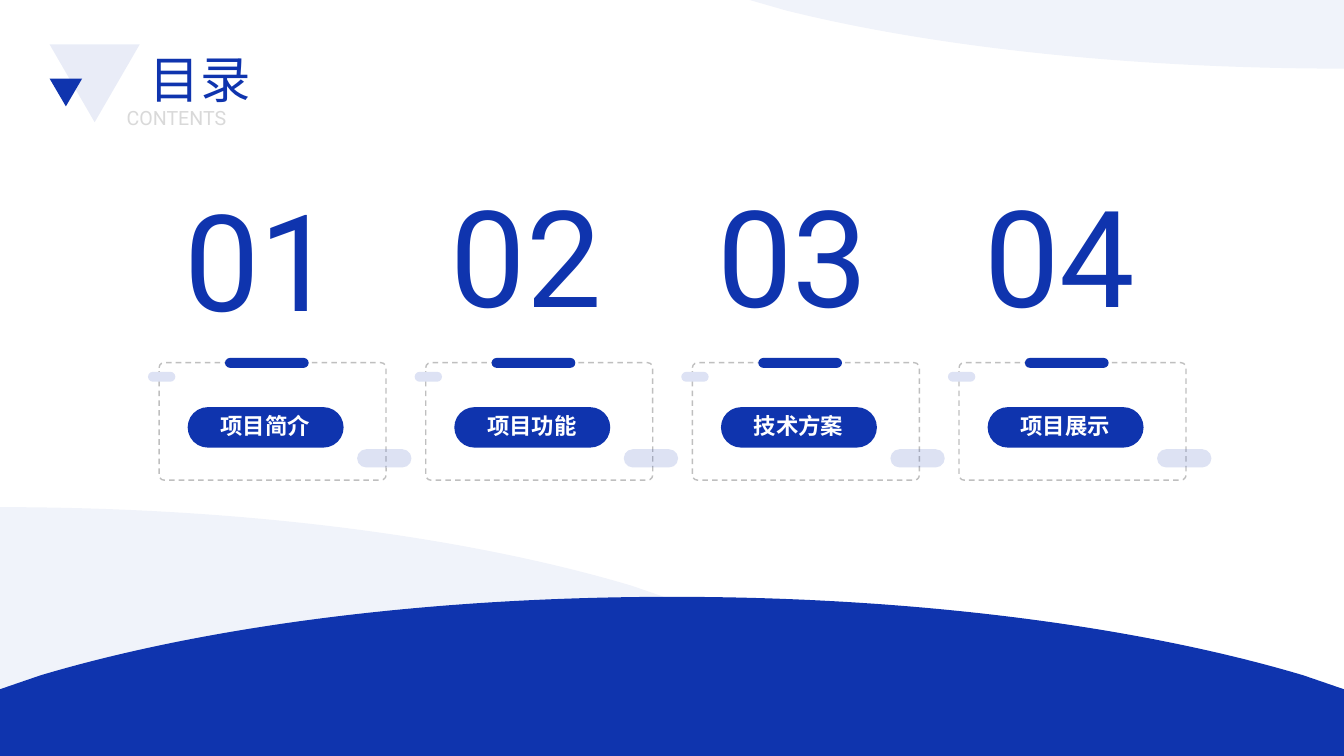
from dataclasses import dataclass

from lxml import etree
from pptx import Presentation
from pptx.dml.color import RGBColor
from pptx.enum import dml, shapes, text
from pptx.oxml import ns
from pptx.util import Cm, Pt


@dataclass(frozen=True)
class Theme:
    blue: str = "0F34AE"
    pale_blue: str = "DDE2F4"
    white: str = "FFFFFF"
    border: str = "BFBFBF"
    caption: str = "D9D9D9"
    latin: str = "Roboto"
    cjk: str = "Noto Sans CJK JP"
    title_size: int = 36
    caption_size: int = 14
    label_size: int = 16
    number_size: int = 96


@dataclass(frozen=True)
class Box:
    """Left, top, width and height in centimetres."""
    left: float
    top: float
    width: float
    height: float

    def inner(self, left, top, width, height):
        return Box(self.left + left, self.top + top, width, height)

    def lengths(self):
        return Cm(self.left), Cm(self.top), Cm(self.width), Cm(self.height)


THEME = Theme()
PAGE = Box(0, 0, 33.87, 19.05)
CARD_PITCH = 6.72
SECTIONS = ["项目简介", "项目功能", "技术方案", "项目展示"]
# Bezier points of half a hill and its foot, as shares of its reach and drop
HILL = [(0, 0), (0.37, 0), (0.7, 0.33), (0.94, 0.85), (1, 1)]


def paint(shape, color, opacity=None):
    shape.shadow.inherit = False
    shape.line.fill.background()
    shape.fill.solid()
    shape.fill.fore_color.rgb = RGBColor.from_string(color)
    if opacity is not None:
        tone = shape.element.spPr.find(ns.qn("a:solidFill"))[0]
        etree.SubElement(tone, ns.qn("a:alpha"), val=str(opacity * 1000))
    return shape


def write(holder, content, *, size, color, font=THEME.latin, bold=False,
          align=text.PP_ALIGN.LEFT, wrap=False):
    frame = holder.text_frame
    frame.auto_size = text.MSO_AUTO_SIZE.NONE
    frame.word_wrap = wrap
    frame.vertical_anchor = text.MSO_ANCHOR.TOP
    paragraph = frame.paragraphs[0]
    paragraph.alignment = align
    run = paragraph.add_run()
    run.text = content
    run.font.size = Pt(size)
    run.font.bold = bold
    run.font.color.rgb = RGBColor.from_string(color)
    run.font.name = font
    # East Asian characters take the same font
    etree.SubElement(run._r.get_or_add_rPr(), ns.qn("a:ea"), typeface=font)


def add_bar(slide, box, color, opacity=None, corner=0.5):
    bar = slide.shapes.add_shape(shapes.MSO_SHAPE.ROUNDED_RECTANGLE, *box.lengths())
    bar.adjustments[0] = corner
    return paint(bar, color, opacity)


def half_hill(crest_x, crest_y, reach, drop):
    return [(crest_x + reach * x, crest_y + drop * y) for x, y in HILL]


def add_wave(slide, outline, curve_starts, opacity=None):
    """Draw the outline; each curve uses the three points after its start."""
    points = [(Cm(x), Cm(y)) for x, y in outline]
    builder = slide.shapes.build_freeform(*points[0])
    builder.add_line_segments(points[1:], close=True)
    wave = builder.convert_to_shape()
    segments = list(wave.element.iter(ns.qn("a:lnTo")))
    for start in curve_starts:
        first, *others = segments[start:start + 3]
        curve = etree.Element(ns.qn("a:cubicBezTo"))
        first.addprevious(curve)
        for segment in [first, *others]:
            curve.append(segment[0])
            segment.getparent().remove(segment)
    paint(wave, THEME.blue, opacity)


def add_background(slide, page):
    right, bottom, middle = page.width, page.height, page.width / 2
    drop, crest = 2.33, 15.04
    # Pale waves at lower left and upper right
    add_wave(slide, half_hill(0, 12.78, middle, drop) + [(middle, bottom), (0, bottom)], [0], 6)
    add_wave(slide, half_hill(right, 1.73, -14.98, -1.73) + [(right, 0)], [0], 6)
    # Solid hill along the bottom
    rise = half_hill(middle, crest, -middle, drop)[::-1]
    fall = half_hill(middle, crest, middle, drop)
    add_wave(slide, rise + fall[1:] + [(right, bottom), (0, bottom)], [1, 4])


def add_heading(slide, box):
    # Pair of triangles pointing down
    emblem = slide.shapes.add_group_shape()
    for place, opacity in [(box.inner(0, 0, 2.27, 1.96), 9), (box.inner(0, 0.86, 0.82, 0.7), None)]:
        triangle = emblem.shapes.add_shape(shapes.MSO_SHAPE.ISOSCELES_TRIANGLE, *place.lengths())
        triangle.rotation = 180
        paint(triangle, THEME.blue, opacity)
    # Title and caption
    title = slide.shapes.title
    title.left, title.top, title.width, title.height = box.inner(2.27, -0.03, 3.84, 1.8).lengths()
    write(title, "目录", size=THEME.title_size, color=THEME.blue)
    caption = slide.shapes.add_textbox(*box.inner(1.69, 1.42, 4.32, 0.86).lengths())
    write(caption, "CONTENTS", size=THEME.caption_size, color=THEME.caption,
          align=text.PP_ALIGN.JUSTIFY, wrap=True)


def add_card(slide, box, index, section):
    # Dashed frame
    frame = add_bar(slide, box, THEME.white, corner=0.043)
    frame.line.color.rgb = RGBColor.from_string(THEME.border)
    frame.line.width = Pt(1)
    frame.line.dash_style = dml.MSO_LINE.DASH
    # Section name on its pill
    add_bar(slide, box.inner(0.72, 1.12, 3.93, 1.02), THEME.blue)
    add_bar(slide, box.inner(1.66, -0.12, 2.11, 0.25), THEME.blue)
    label = slide.shapes.add_textbox(*box.inner(1.28, 1.11, 2.79, 0.94).lengths())
    write(label, section, size=THEME.label_size, color=THEME.white, font=THEME.cjk, bold=True,
          align=text.PP_ALIGN.CENTER)
    # Section number, the first one slightly lower
    number_top = -4.8 if index == 1 else -4.9
    number = slide.shapes.add_textbox(*box.inner(0.38, number_top, 5.05, 4.37).lengths())
    write(number, f"{index:02d}", size=THEME.number_size, color=THEME.blue)
    # Pale bars on the frame's sides
    add_bar(slide, box.inner(4.99, 2.18, 1.37, 0.46), THEME.blue, opacity=14)
    add_bar(slide, box.inner(-0.28, 0.23, 0.69, 0.25), THEME.pale_blue)


def main():
    deck = Presentation()
    deck.slide_width, deck.slide_height = Cm(PAGE.width), Cm(PAGE.height)
    slide = deck.slides.add_slide(deck.slide_layouts.get_by_name("Title Only"))
    add_background(slide, PAGE)
    add_heading(slide, Box(1.25, 1.12, 6.11, 2.28))
    for order, section in enumerate(SECTIONS):
        add_card(slide, Box(4.01 + order * CARD_PITCH, 9.14, 5.72, 2.96), order + 1, section)
    deck.save("out.pptx")


if __name__ == "__main__":
    main()
